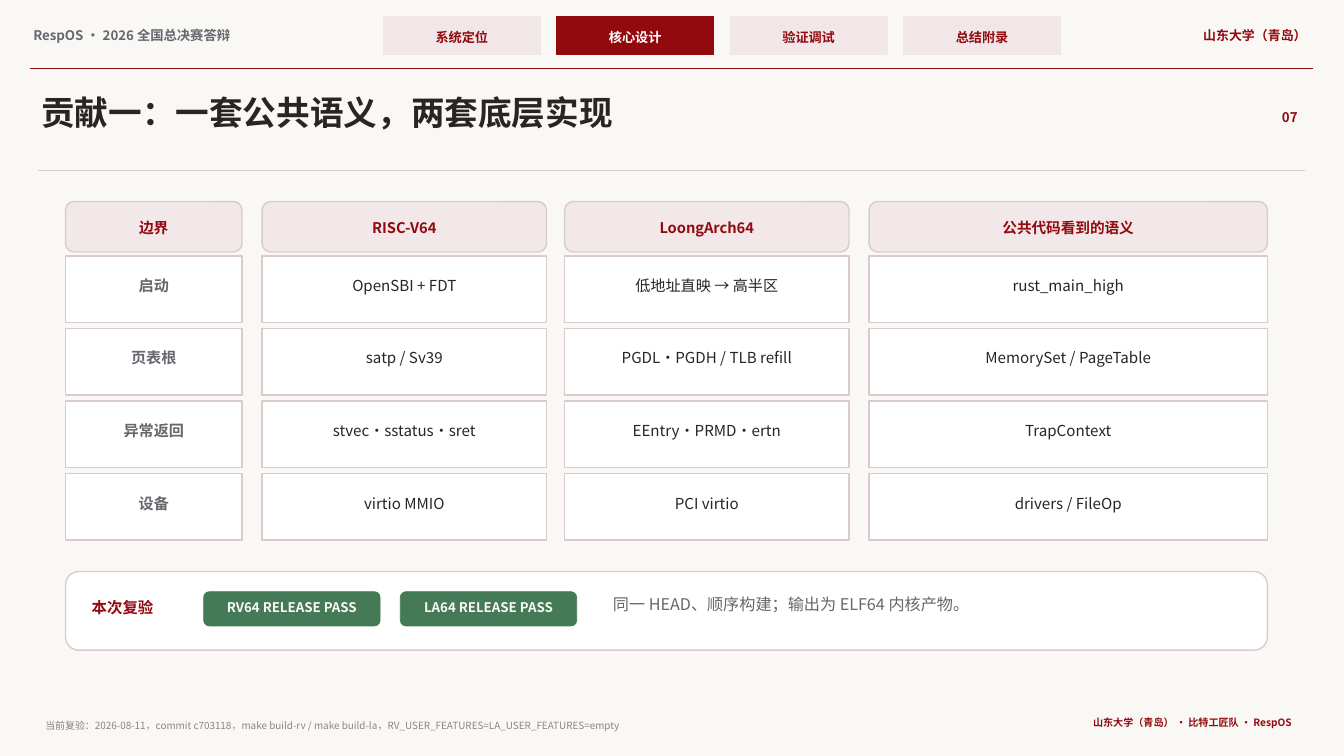
from dataclasses import dataclass

from lxml import etree
from pptx import Presentation
from pptx.dml.color import RGBColor
from pptx.enum.shapes import MSO_CONNECTOR, MSO_SHAPE
from pptx.enum.text import MSO_ANCHOR, MSO_AUTO_SIZE, PP_ALIGN
from pptx.oxml.ns import qn
from pptx.util import Inches, Pt

RECT = MSO_SHAPE.RECTANGLE
ROUNDED = MSO_SHAPE.ROUNDED_RECTANGLE
STRAIGHT = MSO_CONNECTOR.STRAIGHT
LEFT, CENTER, RIGHT = PP_ALIGN.LEFT, PP_ALIGN.CENTER, PP_ALIGN.RIGHT
TOP = MSO_ANCHOR.TOP
GROW = MSO_AUTO_SIZE.SHAPE_TO_FIT_TEXT


@dataclass(frozen=True)
class Theme:
    """Colours, font and type sizes of the deck."""
    font: str = "Noto Sans CJK SC"
    paper: str = "FAF8F5"
    white: str = "FFFFFF"
    ink: str = "282525"
    gray: str = "66666D"
    faint: str = "8A8585"
    crimson: str = "92090E"
    tab: str = "F2E7E8"
    head: str = "F3E8E9"
    rule: str = "D9CBCD"
    green: str = "447A55"
    title_size: float = 24
    note_size: float = 11.5
    label_size: float = 11
    cell_size: float = 10.8
    head_size: float = 10.5
    small_size: float = 9.5
    tab_size: float = 9.4
    school_size: float = 9.2
    credit_size: float = 7.2
    source_size: float = 7.1


THEME = Theme()

TABS = ["系统定位", "核心设计", "验证调试", "总结附录"]
ACTIVE_TAB = "核心设计"
COLUMNS = [(0, 1.75), (1.95, 2.82), (4.95, 2.82), (7.97, 3.95)]
HEADINGS = ["边界", "RISC-V64", "LoongArch64", "公共代码看到的语义"]
ROWS = [
    ["启动", "OpenSBI + FDT", "低地址直映 → 高半区", "rust_main_high"],
    ["页表根", "satp / Sv39", "PGDL·PGDH / TLB refill", "MemorySet / PageTable"],
    ["异常返回", "stvec·sstatus·sret", "EEntry·PRMD·ertn", "TrapContext"],
    ["设备", "virtio MMIO", "PCI virtio", "drivers / FileOp"],
]
BADGES = ["RV64 RELEASE PASS", "LA64 RELEASE PASS"]


def write(shape, text, size, color, bold, align, inset=0.03):
    """Put one styled paragraph at the top of a shape."""
    frame = shape.text_frame
    frame.word_wrap = True
    frame.vertical_anchor = TOP
    frame.margin_left = frame.margin_right = frame.margin_bottom = Inches(0.03)
    frame.margin_top = Inches(inset)
    para = frame.paragraphs[0]
    para.text = text
    para.alignment = align
    font = para.font
    font.name, font.size, font.bold = THEME.font, Pt(size), bold
    font.color.rgb = RGBColor.from_string(color)
    defaults = para._p.pPr.find(qn("a:defRPr"))
    etree.SubElement(defaults, qn("a:ea")).set("typeface", THEME.font)


def add_label(page, box, text, size, color, bold=True, align=LEFT):
    """Add a text box that grows with its text."""
    label = page.shapes.add_textbox(*map(Inches, box))
    write(label, text, size, color, bold, align)
    label.text_frame.auto_size = GROW


def add_panel(page, kind, box, fill, line, weight):
    """Add a flat filled shape with an outline."""
    panel = page.shapes.add_shape(kind, *map(Inches, box))
    panel.shadow.inherit = False
    panel.fill.solid()
    panel.fill.fore_color.rgb = RGBColor.from_string(fill)
    panel.line.color.rgb = RGBColor.from_string(line)
    panel.line.width = Pt(weight)
    return panel


def add_rule(page, left, top, width, color, weight):
    """Add a horizontal line without a shadow."""
    ends = map(Inches, (left, top, left + width, top))
    rule = page.shapes.add_connector(STRAIGHT, *ends)
    rule.line.color.rgb = RGBColor.from_string(color)
    rule.line.width = Pt(weight)
    etree.SubElement(rule._element.spPr, qn("a:effectLst"))


def add_navigation(page, left, top, width):
    """Add the top bar with deck name, section tabs and school."""
    add_label(page, (left, top + 0.08, 3.35, 0.24), "RespOS · 2026 全国总决赛答辩",
              THEME.small_size, THEME.gray)
    for index, name in enumerate(TABS):
        active = name == ACTIVE_TAB
        fill = THEME.crimson if active else THEME.tab
        color = THEME.white if active else THEME.crimson
        box = (left + 3.5 + index * 1.72, top, 1.56, 0.38)
        tab = add_panel(page, RECT, box, fill, fill, 0.5)
        write(tab, name, THEME.tab_size, color, True, CENTER, 0.13)
    add_label(page, (left + width - 1.67, top + 0.08, 1.64, 0.24), "山东大学（青岛）",
              THEME.school_size, THEME.crimson, align=RIGHT)
    add_rule(page, left, top + 0.52, width, THEME.crimson, 1.1)


def add_heading(page, left, top, width):
    """Add the title, the page number and the rule below them."""
    add_label(page, (left, top, 11.85, 0.48), "贡献一：一套公共语义，两套底层实现",
              THEME.title_size, THEME.ink)
    add_label(page, (left + width - 0.46, top + 0.17, 0.42, 0.24), "07",
              THEME.small_size, THEME.crimson, align=RIGHT)
    add_rule(page, left, top + 0.81, width, THEME.rule, 0.9)


def add_comparison(page, left, top):
    """Add the grid that compares both architectures."""
    for column, (offset, width) in enumerate(COLUMNS):
        box = (left + offset, top, width, 0.5)
        head = add_panel(page, ROUNDED, box, THEME.head, THEME.rule, 1)
        write(head, HEADINGS[column], THEME.head_size, THEME.crimson, True, CENTER, 0.15)
        for row, values in enumerate(ROWS):
            box = (left + offset, top + 0.54 + row * 0.72, width, 0.66)
            cell = add_panel(page, RECT, box, THEME.white, THEME.rule, 1)
            first = column == 0
            color = THEME.gray if first else THEME.ink
            write(cell, values[column], THEME.cell_size, color, first, CENTER, 0.2)


def add_verification(page, left, top, width):
    """Add the strip with the build results."""
    add_panel(page, ROUNDED, (left, top, width, 0.78), THEME.white, THEME.rule, 1)
    add_label(page, (left + 0.23, top + 0.23, 1, 0.25), "本次复验",
              THEME.label_size, THEME.crimson)
    for index, name in enumerate(BADGES):
        box = (left + 1.37 + index * 1.95, top + 0.2, 1.75, 0.34)
        badge = add_panel(page, ROUNDED, box, THEME.green, THEME.green, 0.5)
        write(badge, name, THEME.small_size, THEME.paper, True, CENTER, 0.06)
    add_label(page, (left + 5.4, top + 0.2, 5.8, 0.33),
              "同一 HEAD、顺序构建；输出为 ELF64 内核产物。",
              THEME.note_size, THEME.gray, bold=False)


def add_footer(page, left, top, width):
    """Add the source line and the team credit."""
    add_label(page, (left, top + 0.03, 9.7, 0.17),
              "当前复验：2026-08-11，commit c703118，make build-rv / make build-la，"
              "RV_USER_FEATURES=LA_USER_FEATURES=empty",
              THEME.source_size, THEME.faint, bold=False)
    add_label(page, (left + width - 3.12, top, 3.12, 0.2),
              "山东大学（青岛） · 比特工匠队 · RespOS",
              THEME.credit_size, THEME.crimson, align=RIGHT)


def main():
    """Build the slide and save the deck."""
    deck = Presentation()
    deck.slide_width, deck.slide_height = Inches(13.33), Inches(7.5)
    page = deck.slides.add_slide(deck.slide_layouts[6])
    page.background.fill.solid()
    page.background.fill.fore_color.rgb = RGBColor.from_string(THEME.paper)
    add_navigation(page, 0.3, 0.16, 12.72)
    add_heading(page, 0.38, 0.88, 12.56)
    add_comparison(page, 0.65, 2)
    add_verification(page, 0.65, 5.67, 11.92)
    add_footer(page, 0.42, 7.08, 12.42)
    deck.save("out.pptx")


if __name__ == "__main__":
    main()
